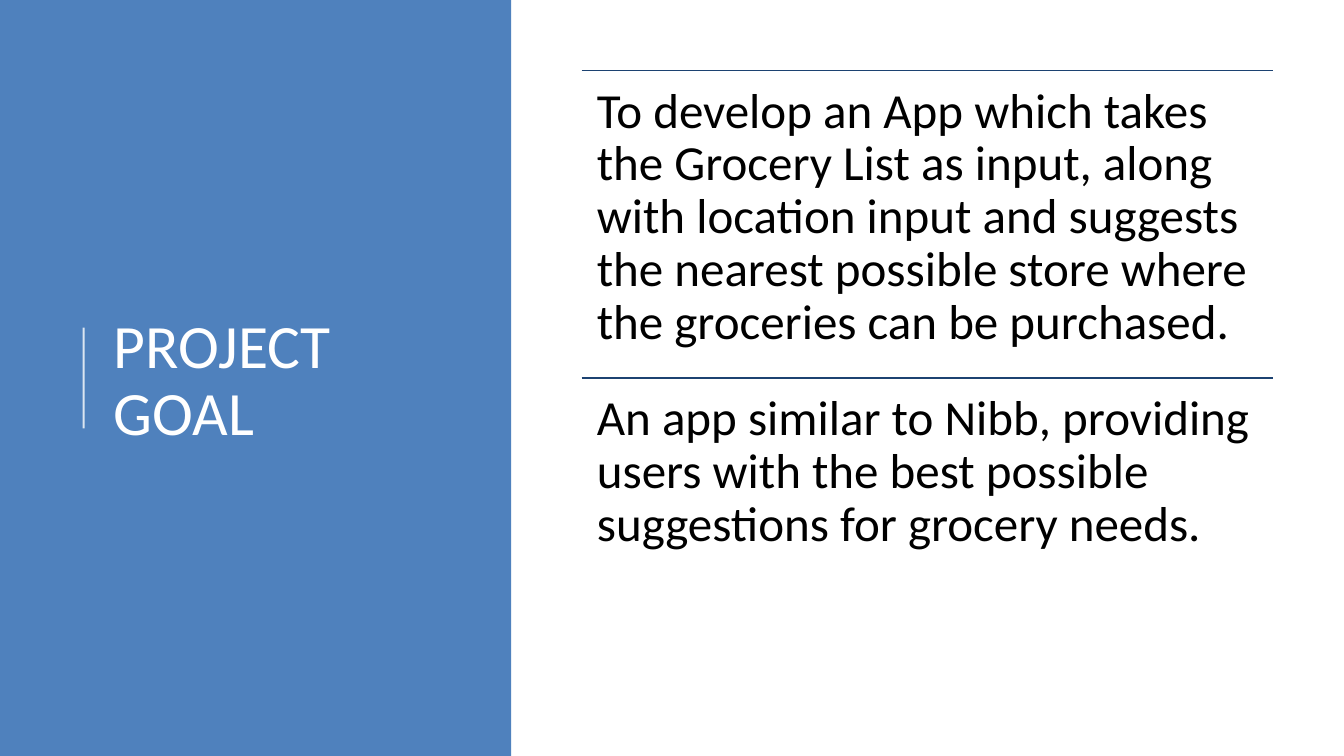
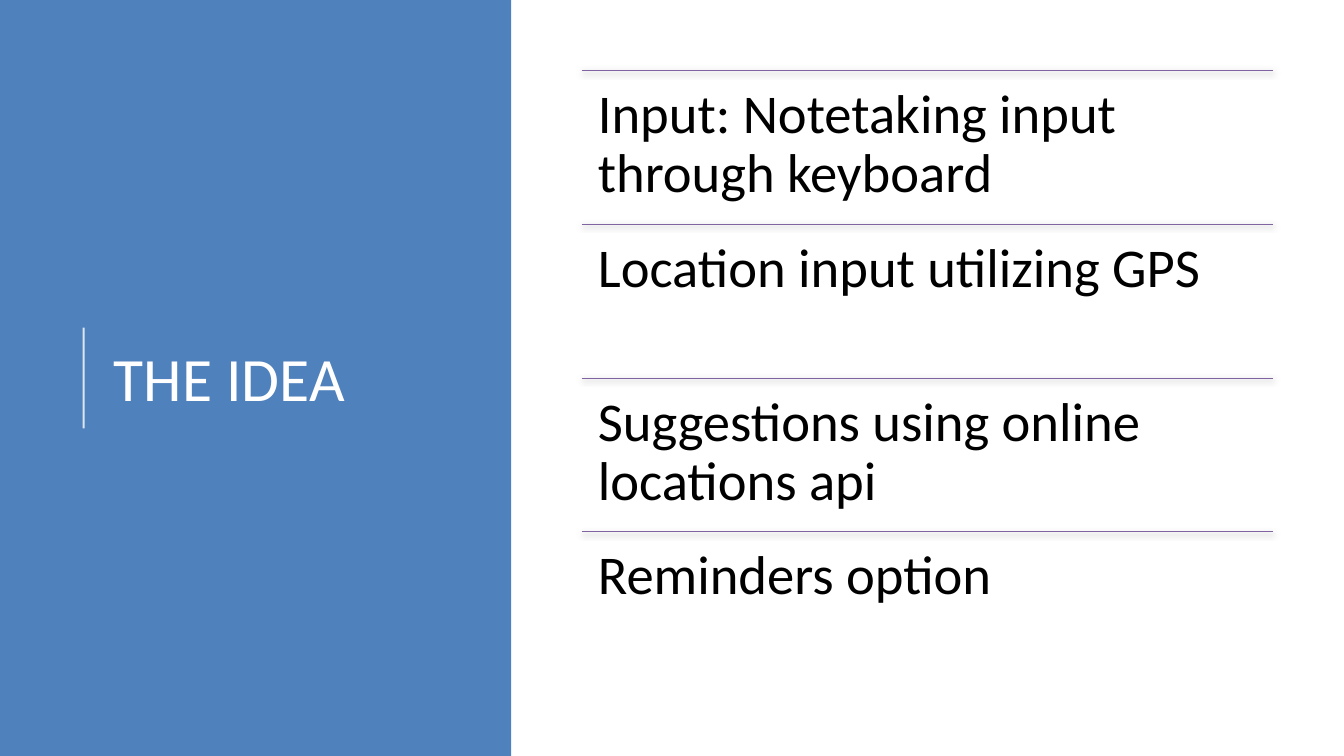
from lxml import etree
from pptx import Presentation
from pptx.dml.color import RGBColor
from pptx.enum import shapes, text
from pptx.oxml.ns import qn
from pptx.util import Inches, Pt

COLORS = {"band": "4F81BD", "white": "FFFFFF", "black": "000000",
          "navy": "1C4271", "purple": "8064A2"}
FONT = "Calibri"
LIST_LEFT, LIST_TOP, LIST_WIDTH, LIST_HEIGHT = 5.77, 0.7, 6.86, 6.1

SLIDES = [
    {"title": "PROJECT GOAL", "size": 35, "inset": 0.15,
     "rule": "navy", "weight": 1, "shadow": False,
     "items": [
         "To develop an App which takes the Grocery List as input, along with "
         "location input and suggests the nearest possible store where the "
         "groceries can be purchased.",
         "An app similar to Nibb, providing users with the best possible "
         "suggestions for grocery needs."]},
    {"title": "THE IDEA", "size": 39, "inset": 0.16,
     "rule": "purple", "weight": 0.5, "shadow": True,
     "items": [
         "Input: Notetaking input through keyboard",
         "Location input utilizing GPS",
         "Suggestions using online locations api",
         "Reminders option"]},
]


def rgb(name):
    return RGBColor.from_string(COLORS[name])


def style_text(tf, content, size, color):
    tf.word_wrap = True
    tf.auto_size = text.MSO_AUTO_SIZE.NONE
    tf.text = content
    p = tf.paragraphs[0]
    p.alignment = text.PP_ALIGN.LEFT
    p.line_spacing = 0.9
    p.font.name = FONT
    p.font.size = Pt(size)
    p.font.color.rgb = rgb(color)


def add_line(slide, start, end, color, weight, alpha=None, shadow=False):
    line = slide.shapes.add_connector(
        shapes.MSO_CONNECTOR.STRAIGHT, *map(Inches, start + end))
    line.line.color.rgb = rgb(color)
    line.line.width = Pt(weight)
    sp_pr = line._element.spPr
    if alpha:
        tint = sp_pr.find(".//" + qn("a:srgbClr"))
        etree.SubElement(tint, qn("a:alpha"), val=str(alpha * 1000))
    effects = etree.SubElement(sp_pr, qn("a:effectLst"))
    if shadow:
        outer = etree.SubElement(
            effects, qn("a:outerShdw"), blurRad=str(Pt(4.5)),
            dist=str(Pt(1.5)), dir="5400000", rotWithShape="0")
        tint = etree.SubElement(outer, qn("a:srgbClr"), val=COLORS["black"])
        etree.SubElement(tint, qn("a:alpha"), val="63000")


def add_band(slide, height):
    band = slide.shapes.add_shape(
        shapes.MSO_SHAPE.RECTANGLE, 0, 0, Inches(5.07), height)
    band.fill.solid()
    band.fill.fore_color.rgb = rgb("band")
    band.line.fill.background()
    band.shadow.inherit = False
    add_line(slide, (0.83, 4.25), (0.83, 3.25), "white", 1.5, alpha=80)


def set_title(slide, content):
    title = slide.shapes.title
    title.left, title.top = Inches(1.03), Inches(0.78)
    title.width, title.height = Inches(3.69), Inches(6.02)
    style_text(title.text_frame, content, 44, "white")
    title.text_frame.vertical_anchor = text.MSO_ANCHOR.MIDDLE
    slide.shapes._spTree.append(title._element)


def add_ruled_list(slide, spec_row):
    items = spec_row["items"]
    row_height = LIST_HEIGHT / len(items)
    for i, item in enumerate(items):
        top = LIST_TOP + i * row_height
        add_line(slide, (LIST_LEFT, top), (LIST_LEFT + LIST_WIDTH, top),
                 spec_row["rule"], spec_row["weight"],
                 shadow=spec_row["shadow"])
        box = slide.shapes.add_textbox(
            *map(Inches, (LIST_LEFT, top, LIST_WIDTH, row_height)))
        tf = box.text_frame
        tf.margin_left = tf.margin_right = Inches(spec_row["inset"])
        tf.margin_top = tf.margin_bottom = Inches(spec_row["inset"])
        style_text(tf, item, spec_row["size"], "black")


def main():
    prs = Presentation()
    prs.slide_width, prs.slide_height = Inches(13.33), Inches(7.5)
    for content in SLIDES:
        slide = prs.slides.add_slide(prs.slide_layouts[5])
        add_band(slide, prs.slide_height)
        set_title(slide, content["title"])
        add_ruled_list(slide, content)
    prs.save("out.pptx")


if __name__ == "__main__":
    main()
